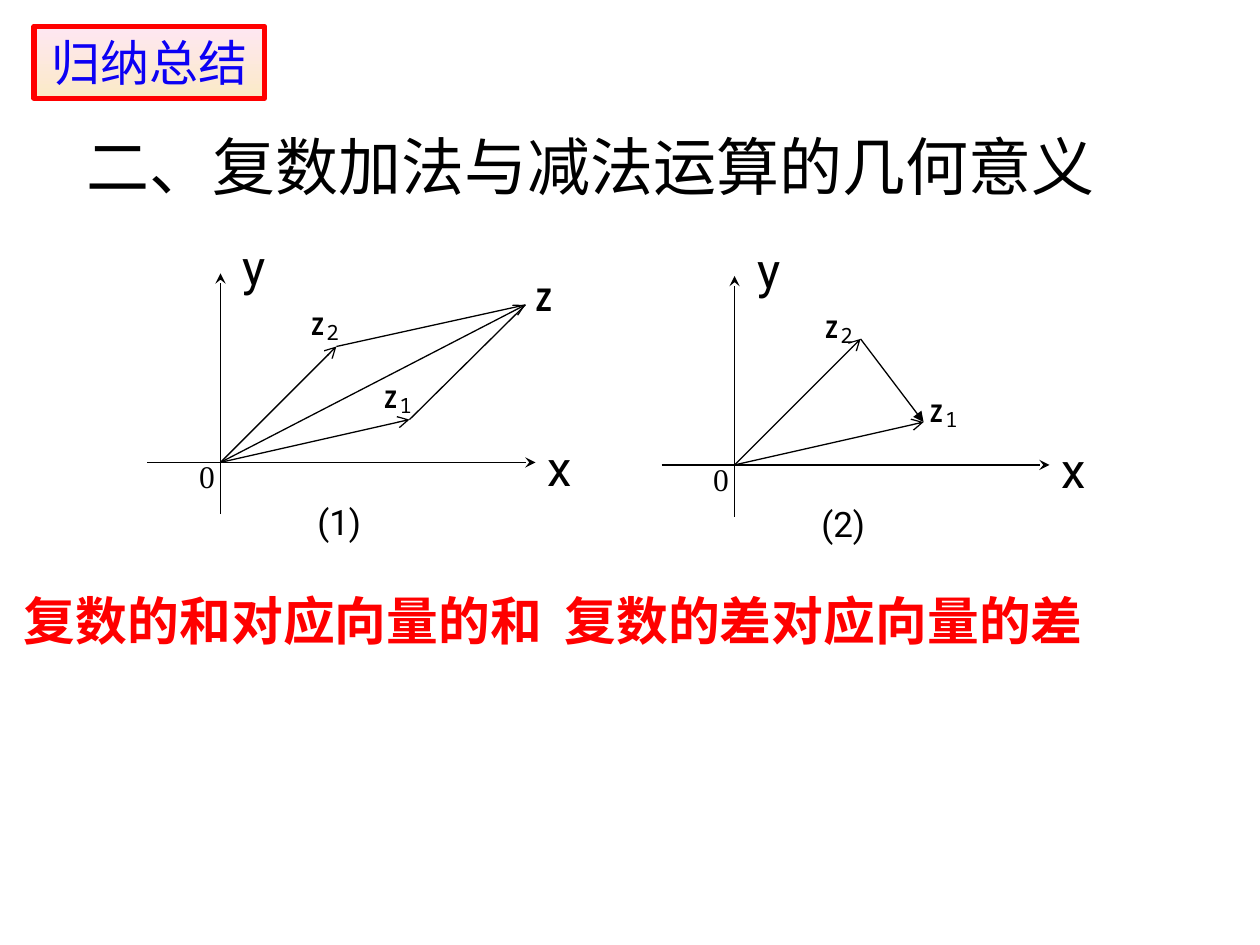
"""Build the slide on the geometry of adding and subtracting complex numbers."""
from lxml import etree
from pptx import Presentation, util as u
from pptx.dml.color import RGBColor
from pptx.enum import dml, shapes, text
from pptx.oxml.ns import qn

THEME = {
    "ink": "000000", "red": "FF0000", "blue": "0C00F4",
    "wash": ("FEE7F2", "FBEAC7"),
    "sans": "Roboto", "mono": "Noto Sans Mono", "serif": "Times New Roman",
    "bold": "Arial", "han": "Noto Sans CJK SC",
    "title": 36, "sum": 29.6, "big": 28, "cap": 20, "mid": 18, "mark": 14, "sub": 12,
}
TITLE = "二、复数加法与减法运算的几何意义"
TAG = "归纳总结"
SUMS = ("复数的和对应向量的和", "复数的差对应向量的差")
LEFT, MID = text.PP_ALIGN.LEFT, text.PP_ALIGN.CENTER

# Points, marks and captions are offsets from each origin, y downward.
O, Z1 = (0, 0), (1.5, -0.34)
AXES = [((-0.58, 0), (2.5, 0), "stealth"), ((0, 0.41), (0, -1.5), "stealth")]
NAMES = [("x", 2.5, -0.25), ("y", 0.08, -1.84)]
SUM2, SUMZ, DIF2 = (0.92, -0.92), (2.42, -1.25), (1, -1)
FIGS = [
    {"at": (1.75, 3.67), "cap": ("(1)", 0.67, 0.25),
     "lines": [(O, SUM2, "arrow"), (O, SUMZ, "arrow"), (O, Z1, "arrow"),
               (SUM2, SUMZ, None), (Z1, SUMZ, None)],
     "marks": [("1", 1.17, -0.67), ("2", 0.59, -1.25)],
     "end": ("Z", 2.33, -1.5)},
    {"at": (5.83, 3.69), "cap": ("(2)", 0.59, 0.25),
     "lines": [(O, Z1, "arrow"), (DIF2, Z1, "triangle"), (O, DIF2, "arrow")],
     "marks": [("1", 1.42, -0.58), ("2", 0.59, -1.25)],
     "end": None},
]


def rgb(name):
    return RGBColor.from_string(THEME.get(name, name))


def write(shape, words, size="big", font="sans", color="ink", bold=False,
          align=LEFT, anchor=text.MSO_ANCHOR.TOP, wrap=True, grow=True, inset=0.1):
    frame = shape.text_frame
    frame.word_wrap = wrap
    fit = text.MSO_AUTO_SIZE
    frame.auto_size = fit.SHAPE_TO_FIT_TEXT if grow else fit.NONE
    frame.vertical_anchor = anchor
    frame.margin_left = u.Inches(inset)
    frame.margin_right = u.Inches(0.1)
    frame.margin_top = frame.margin_bottom = u.Inches(0.05)
    para = frame.paragraphs[0]
    para.alignment = align
    run = para.add_run()
    run.text = words
    run.font.size = u.Pt(THEME[size])
    run.font.name = THEME[font]
    run.font.bold = bold
    run.font.color.rgb = rgb(color)
    east = etree.SubElement(run.font._element, qn("a:ea"))
    east.set("typeface", THEME["han"])
    return para


def label(host, words, x, y, w, h, **fmt):
    box = host.add_textbox(*map(u.Inches, (x, y, w, h)))
    return write(box, words, **fmt)


def line(host, start, end, head):
    wire = host.add_connector(shapes.MSO_CONNECTOR.STRAIGHT,
                              *map(u.Inches, (*start, *end)))
    wire.line.color.rgb = rgb("ink")
    wire.line.width = u.Pt(0.75)
    if head:
        etree.SubElement(wire.line._get_or_add_ln(), qn("a:tailEnd")).set("type", head)
    etree.SubElement(wire._element.spPr, qn("a:effectLst"))


def figure(slide, fig):
    host = slide.shapes.add_group_shape().shapes
    ox, oy = fig["at"]

    def put(words, x, y, w, h, **fmt):
        label(host, words, ox + x, oy + y, w, h, **fmt)

    for start, end, head in AXES + fig["lines"]:
        line(host, (ox + start[0], oy + start[1]), (ox + end[0], oy + end[1]), head)
    for name, x, y in NAMES:
        put(name, x, y, 0.42, 0.57)
    for num, x, y in fig["marks"]:
        put("Z", x, y, 0.36, 0.34, size="mark", font="mono", bold=True,
            align=MID, wrap=False)
        put(num, x + 0.01, y + 0.07, 0.58, 0.3, size="sub", font="mono", align=MID)
    if fig["end"]:
        put(*fig["end"], 0.5, 0.4, size="mid", font="mono", bold=True, inset=0.16)
    put("0", -0.33, -0.09, 0.5, 0.4, size="mid", font="serif", inset=0.16)
    put(*fig["cap"], 0.67, 0.44, size="cap")


def main():
    deck = Presentation()
    deck.slide_width, deck.slide_height = u.Inches(10), u.Inches(7.5)
    slide = deck.slides.add_slide(deck.slide_layouts[5])

    title = slide.shapes.title
    title.left, title.top, title.width, title.height = map(
        u.Inches, (0.59, 0.91, 8.5, 0.75))
    write(title, TITLE, size="title", anchor=text.MSO_ANCHOR.BOTTOM, grow=False)

    for fig in FIGS:
        figure(slide, fig)

    para = label(slide.shapes, "\t".join(SUMS), 0, 4.62, 10, 0.63, size="sum",
                 font="bold", color="red", bold=True, grow=False, inset=0.19)
    tabs = etree.SubElement(para._p.get_or_add_pPr(), qn("a:tabLst"))
    stop = etree.SubElement(tabs, qn("a:tab"))
    stop.set("pos", str(u.Inches(4.29)))
    stop.set("algn", "l")

    tag = slide.shapes.add_shape(shapes.MSO_SHAPE.RECTANGLE,
                                 *map(u.Inches, (0.27, 0.21, 1.83, 0.57)))
    tag.shadow.inherit = False
    tag.fill.gradient()
    tag.fill.gradient_angle = 270
    for stop, color in zip(tag.fill.gradient_stops, THEME["wash"]):
        stop.color.rgb = rgb(color)
    tag.line.color.rgb = rgb("red")
    tag.line.width = u.Pt(3)
    tag.line.dash_style = dml.MSO_LINE.SOLID
    write(tag, TAG, font="han", color="blue", align=MID)

    deck.save("out.pptx")


if __name__ == "__main__":
    main()
